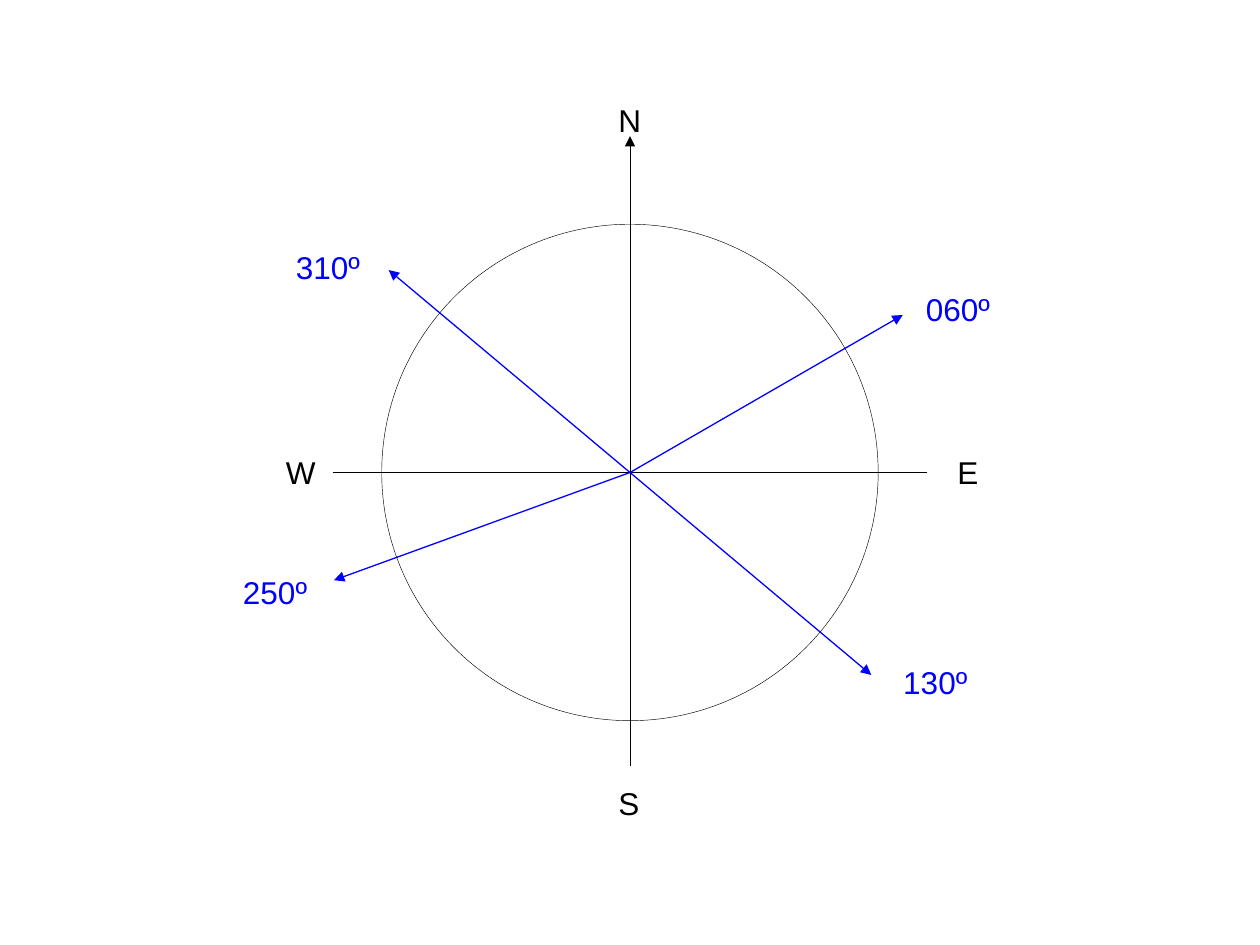
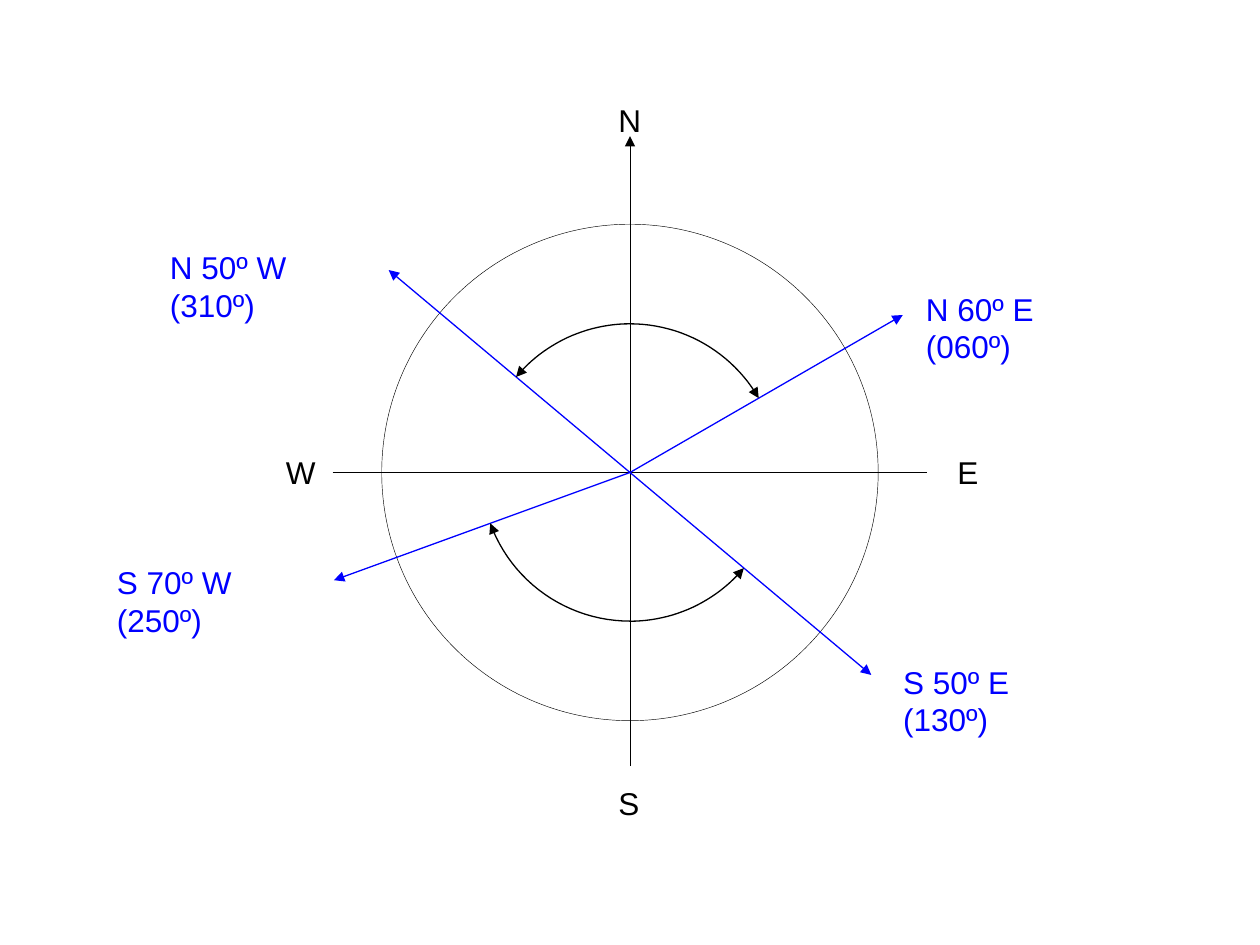
from dataclasses import dataclass
from math import cos, radians, sin

from lxml.etree import SubElement
from pptx import Presentation
from pptx.dml.color import RGBColor
from pptx.enum.shapes import MSO_CONNECTOR, MSO_SHAPE
from pptx.oxml.ns import qn
from pptx.util import Inches, Pt


@dataclass(frozen=True)
class Theme:
    black: RGBColor = RGBColor(0, 0, 0)
    blue: RGBColor = RGBColor(0, 0, 255)
    font: str = "Arial"
    text_size: float = 18
    thin: float = 0.25
    thick: float = 0.75


theme = Theme()


def style_line(shape, color, width, arrow):
    shape.line.color.rgb = color
    shape.line.width = Pt(width)
    if arrow:
        SubElement(shape.line._get_or_add_ln(), qn("a:tailEnd"), type="triangle")
    properties = shape._element.spPr
    if properties.find(qn("a:effectLst")) is None:
        SubElement(properties, qn("a:effectLst"))


def polar(bearing, radius):
    angle = radians(bearing)
    return (Inches(center_x + radius * sin(angle)),
            Inches(center_y - radius * cos(angle)))


center_x, center_y = 5, 3.75
circle_radius, bearing_radius, arc_radius = 1.97, 2.5, 1.18
label_height = 0.4
arc_steps = 24

axes = [
    ((5, 6.08), (5, 1.08), True),
    ((2.64, 3.75), (7.36, 3.75), False),
]
compass_labels = [
    ("N", 4.81, 0.75, 0.4, theme.black),
    ("W", 2.17, 3.55, 0.45, theme.black),
    ("S", 4.81, 6.17, 0.4, theme.black),
    ("E", 7.5, 3.55, 0.4, theme.black),
]
bearings = [60, 130, 250, 310]
azimuth_labels = [
    ("060º", 7.25, 2.25, 0.75, theme.blue),
    ("130º", 7.07, 5.21, 0.75, theme.blue),
    ("250º", 1.83, 4.5, 0.75, theme.blue),
    ("310º", 2.25, 1.92, 0.75, theme.blue),
]
quadrant_labels = [
    ("N 60º E\v(060º)", 7.25, 2.25, 1.83, theme.blue),
    ("S 50º E\v(130º)", 7.07, 5.21, 1.74, theme.blue),
    ("S 70º W\v(250º)", 0.83, 4.42, 1.82, theme.blue),
    ("N 50º W\v(310º)", 1.25, 1.92, 1.84, theme.blue),
]
quadrant_arcs = [(0, 60), (180, 130), (180, 250), (360, 310)]

presentation = Presentation()
presentation.slide_width = Inches(10)
presentation.slide_height = Inches(7.5)

for bearing_labels, arcs in [(azimuth_labels, []), (quadrant_labels, quadrant_arcs)]:
    slide = presentation.slides.add_slide(presentation.slide_layouts[6])

    circle = slide.shapes.add_shape(
        MSO_SHAPE.OVAL,
        Inches(center_x - circle_radius), Inches(center_y - circle_radius),
        Inches(2 * circle_radius), Inches(2 * circle_radius))
    circle.fill.background()
    style_line(circle, theme.black, theme.thin, False)

    for start, end, arrow in axes:
        axis = slide.shapes.add_connector(
            MSO_CONNECTOR.STRAIGHT, *map(Inches, start + end))
        style_line(axis, theme.black, theme.thin, arrow)

    for bearing in bearings:
        bearing_arrow = slide.shapes.add_connector(
            MSO_CONNECTOR.STRAIGHT, *polar(0, 0), *polar(bearing, bearing_radius))
        style_line(bearing_arrow, theme.blue, theme.thick, True)

    for start, end in arcs:
        points = [polar(start + (end - start) * step / arc_steps, arc_radius)
                  for step in range(arc_steps + 1)]
        builder = slide.shapes.build_freeform(*points[0])
        builder.add_line_segments(points[1:], close=False)
        arc = builder.convert_to_shape()
        arc.fill.background()
        style_line(arc, theme.black, theme.thick, True)

    for text, left, top, width, color in compass_labels + bearing_labels:
        label = slide.shapes.add_textbox(
            Inches(left), Inches(top), Inches(width), Inches(label_height))
        label.text_frame.word_wrap = True
        paragraph = label.text_frame.paragraphs[0]
        paragraph.text = text
        for run in paragraph.runs:
            text_format = {"name": theme.font, "size": Pt(theme.text_size)}
            for attribute, value in text_format.items():
                setattr(run.font, attribute, value)
            run.font.color.rgb = color

presentation.save("out.pptx")
